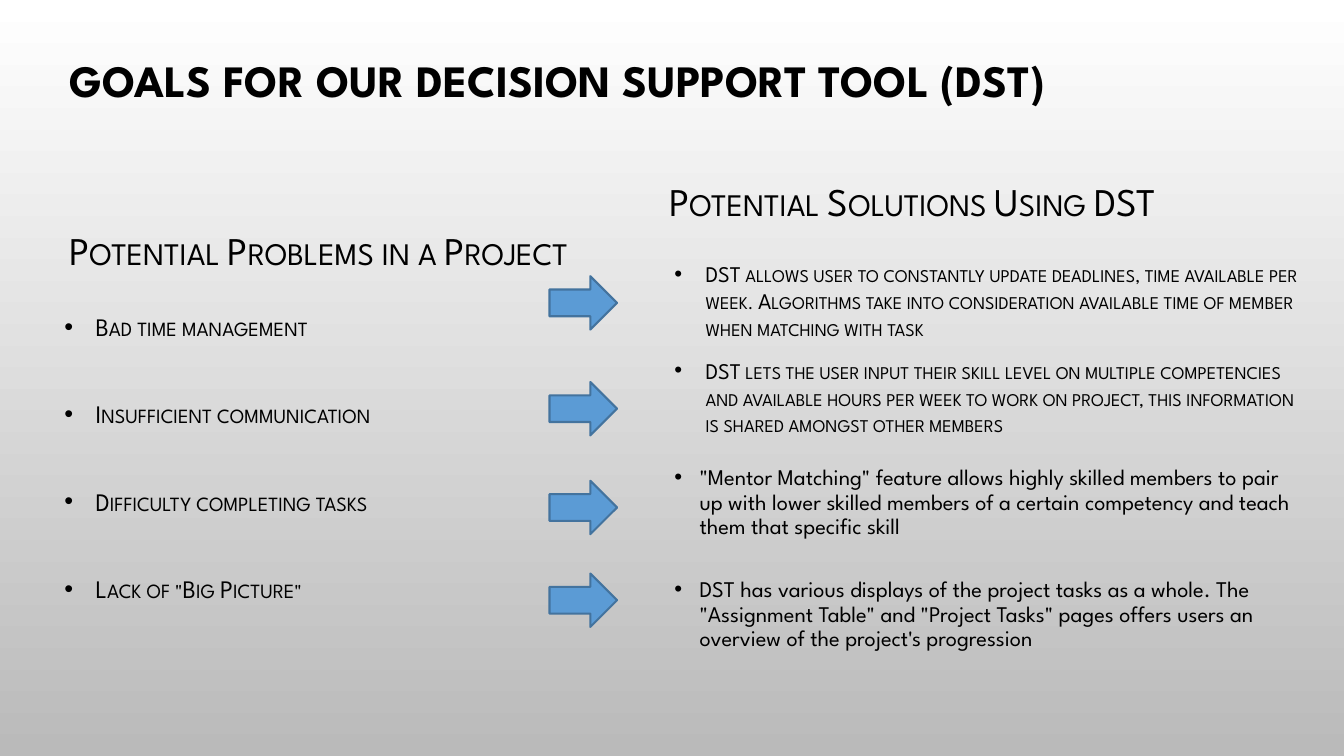
from dataclasses import dataclass

from lxml import etree
from pptx import Presentation
from pptx import util as u
from pptx.dml.color import RGBColor
from pptx.enum import shapes, text
from pptx.oxml.ns import qn


@dataclass(frozen=True)
class Theme:
    font: str = "League Spartan"
    ink: str = "000000"
    bg_top: str = "FFFFFF"
    bg_bottom: str = "BABABA"
    arrow: str = "5B9BD5"
    arrow_line: str = "43739E"
    title: int = 32
    heading: int = 28
    problem: int = 18
    solution: int = 16


class SlideBuilder:
    def __init__(self, prs, theme):
        self.theme = theme
        self.slide = prs.slides.add_slide(prs.slide_layouts[5])

    def background(self):
        fill = self.slide.background.fill
        fill.gradient()
        fill.gradient_angle = 270
        colors = (self.theme.bg_top, self.theme.bg_bottom)
        for stop, color in zip(fill.gradient_stops, colors):
            stop.color.rgb = RGBColor.from_string(color)

    def frame(self, sp, anchor):
        tf = sp.text_frame
        tf.word_wrap = True
        tf.auto_size = text.MSO_AUTO_SIZE.NONE
        tf.vertical_anchor = anchor
        return tf

    def run(self, p, words, size, bold=False, small_caps=False):
        p.alignment = text.PP_ALIGN.LEFT
        r = p.add_run()
        r.text = words
        r.font.name = self.theme.font
        r.font.size = u.Pt(size)
        r.font.bold = bold
        r.font.color.rgb = RGBColor.from_string(self.theme.ink)
        if small_caps:
            r.font._element.set("cap", "small")

    def bullet(self, p, indent):
        pPr = p._p.get_or_add_pPr()
        pPr.set("marL", str(u.Inches(indent)))
        pPr.set("indent", str(-u.Inches(indent)))
        etree.SubElement(pPr, qn("a:buFont")).set("typeface", "Arial")
        etree.SubElement(pPr, qn("a:buChar")).set("char", "•")

    def title(self, words, box):
        sp = self.slide.shapes.title
        sp.left, sp.top, sp.width, sp.height = map(u.Inches, box)
        tf = self.frame(sp, text.MSO_ANCHOR.MIDDLE)
        self.run(tf.paragraphs[0], words, self.theme.title, bold=True)

    def text_box(self, lines, box, size, anchor=text.MSO_ANCHOR.TOP, indent=0,
                 small_caps=True, before=3.6, after=6, spacing=1.0):
        sp = self.slide.shapes.add_textbox(*map(u.Inches, box))
        tf = self.frame(sp, anchor)
        for i, words in enumerate(lines):
            p = tf.add_paragraph() if i else tf.paragraphs[0]
            p.line_spacing = spacing
            p.space_before = u.Pt(before)
            p.space_after = u.Pt(after)
            if indent:
                self.bullet(p, indent)
            self.run(p, words, size, small_caps=small_caps)

    def heading(self, words, box):
        self.text_box([words], box, self.theme.heading, text.MSO_ANCHOR.BOTTOM)

    def arrow(self, top):
        box = map(u.Inches, (5.45, top, 0.67, 0.53))
        sp = self.slide.shapes.add_shape(shapes.MSO_SHAPE.RIGHT_ARROW, *box)
        sp.shadow.inherit = False
        sp.fill.solid()
        sp.fill.fore_color.rgb = RGBColor.from_string(self.theme.arrow)
        sp.line.color.rgb = RGBColor.from_string(self.theme.arrow_line)
        sp.line.width = u.Pt(1.5)


PROBLEMS = [
    "Bad time management",
    "Insufficient communication",
    "Difficulty completing tasks",
    'Lack of "Big Picture"',
]

SMALL_CAPS = dict(indent=0.31)
PLAIN = dict(indent=0.25, small_caps=False, before=10, after=0, spacing=0.9)

# Arrow top, text top, paragraph style, wording
SOLUTIONS = [
    (2.74, 2.53, SMALL_CAPS,
     "DST allows user to constantly update deadlines, time available per week. "
     "Algorithms take into consideration available time of member when matching "
     "with task"),
    (3.79, 3.49, SMALL_CAPS,
     "DST lets the user input their skill level on multiple competencies and "
     "available hours per week to work on project, this information is shared "
     "amongst other members"),
    (4.77, 4.58, PLAIN,
     '"Mentor Matching" feature allows highly skilled members to pair up with '
     "lower skilled members of a certain competency and teach them that "
     "specific skill"),
    (5.69, 5.69, PLAIN,
     "DST has various displays of the project tasks as a whole. The "
     '"Assignment Table" and "Project Tasks" pages offers users an overview '
     "of the project's progression"),
]


def main():
    prs = Presentation()
    prs.slide_width, prs.slide_height = u.Inches(13.33), u.Inches(7.5)
    theme = Theme()
    s = SlideBuilder(prs, theme)

    # Background and title
    s.background()
    s.title("GOALS FOR OUR DECISION SUPPORT TOOL (DST)", (0.59, 0.06, 11.5, 1.45))

    # Problems column
    s.heading("Potential Problems in a Project", (0.59, 1.86, 5.64, 0.9))
    s.text_box(PROBLEMS, (0.54, 3.04, 5.64, 4.03), theme.problem,
               indent=0.31, before=34.8)

    # Solutions column, with an arrow leading to each entry
    s.heading("Potential Solutions Using DST", (6.54, 1.38, 5.67, 0.9))
    for arrow_top, text_top, style, words in SOLUTIONS:
        s.text_box([words], (6.59, text_top, 6.47, 1.02), theme.solution, **style)
        s.arrow(arrow_top)

    prs.save("out.pptx")


if __name__ == "__main__":
    main()
